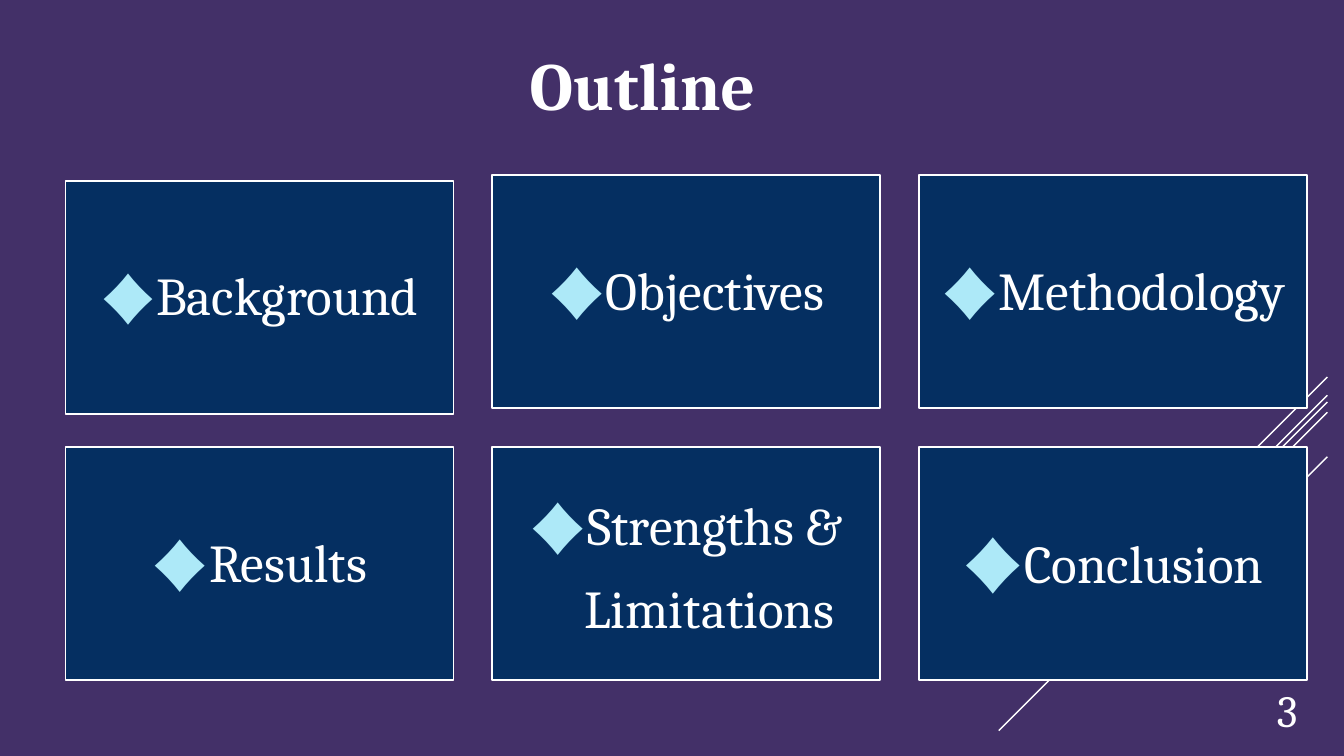
from dataclasses import dataclass

from pptx import Presentation
from pptx.dml.color import RGBColor
from pptx.enum import shapes, text
from pptx.oxml.ns import qn
from pptx.util import Cm, Pt


@dataclass(frozen=True)
class Theme:
    back: RGBColor = RGBColor(0x43, 0x30, 0x68)
    card: RGBColor = RGBColor(0x05, 0x2F, 0x61)
    mark: RGBColor = RGBColor(0xAD, 0xE9, 0xF8)
    ink: RGBColor = RGBColor(0xFF, 0xFF, 0xFF)
    face: str = "Cambria"
    title: int = 48
    label: int = 38
    number: int = 32


@dataclass(frozen=True)
class Box:
    """A region of the slide, in centimetres."""
    left: float
    top: float
    width: float
    height: float

    @property
    def cm(self):
        return [Cm(v) for v in (self.left, self.top, self.width, self.height)]


THEME = Theme()

# Label lines, diamond size, drop below the row's top
CARDS = [
    (["Background"], 40, 0.15),
    (["Objectives"], 41, 0),
    (["Methodology"], 41, 0),
    (["Results"], 41, 0),
    (["Strengths &", "Limitations"], 41, 0),
    (["Conclusion"], 44, 0),
]

# Drop below the region's top, and run to the left and down
RAYS = [(0, 2.54), (0.63, 8.28), (0.89, 5.28), (0.46, 4.85), (2.01, 3.53)]


def style(font, size, color=THEME.ink, bold=False):
    font.name = THEME.face
    font.size = Pt(size)
    font.bold = bold
    font.color.rgb = color


def add_rays(slide, box):
    """Draw 45-degree lines falling from the right edge of the box."""
    right = box.left + box.width
    for drop, run in RAYS:
        top = box.top + drop
        ray = slide.shapes.add_connector(
            shapes.MSO_CONNECTOR.STRAIGHT,
            Cm(right), Cm(top), Cm(right - run), Cm(top + run))
        ray.line.color.rgb = THEME.ink
        ray.line.width = Pt(1)
        props = ray._element.spPr
        props.append(props.makeelement(qn("a:effectLst"), {}))


def add_title(slide, box, words):
    title = slide.shapes.title
    title.left, title.top, title.width, title.height = box.cm
    frame = title.text_frame
    frame.text = words
    frame.vertical_anchor = text.MSO_ANCHOR.MIDDLE
    para = frame.paragraphs[0]
    para.alignment = text.PP_ALIGN.CENTER
    style(para.font, THEME.title, bold=True)


def add_card(slide, box, lines, size):
    card = slide.shapes.add_shape(shapes.MSO_SHAPE.RECTANGLE, *box.cm)
    card.shadow.inherit = False
    card.fill.solid()
    card.fill.fore_color.rgb = THEME.card
    card.line.color.rgb = THEME.ink
    card.line.width = Pt(1.25)

    frame = card.text_frame
    frame.word_wrap = True
    frame.vertical_anchor = text.MSO_ANCHOR.MIDDLE
    frame.margin_left = frame.margin_right = Cm(0.43)
    frame.margin_top = frame.margin_bottom = Cm(0.43)
    for i, line in enumerate(lines):
        para = frame.add_paragraph() if i else frame.paragraphs[0]
        para.alignment = text.PP_ALIGN.CENTER
        para.line_spacing = 0.9 if len(lines) == 1 else 1.0
        style(para.font, THEME.label)
        if i:
            para._p.get_or_add_pPr().set("marL", str(Cm(1.16)))
        else:
            mark = para.add_run()
            mark.text = "♦"
            style(mark.font, size, THEME.mark)
        if i < len(lines) - 1:
            para.space_after = Pt(13)
        para.add_run().text = line


def add_cards(slide, box, cols=3, rows=2, gap=0.98):
    """Fill the box with a grid of equal cards."""
    wide = (box.width - gap * (cols - 1)) / cols
    high = (box.height - gap * (rows - 1)) / rows
    for i, (lines, size, drop) in enumerate(CARDS):
        row, col = divmod(i, cols)
        cell = Box(box.left + col * (wide + gap),
                   box.top + row * (high + gap) + drop, wide, high)
        add_card(slide, cell, lines, size)


def add_number(slide, box, number):
    frame = slide.shapes.add_textbox(*box.cm).text_frame
    frame.word_wrap = True
    frame.vertical_anchor = text.MSO_ANCHOR.BOTTOM
    para = frame.paragraphs[0]
    para.text = str(number)
    para.alignment = text.PP_ALIGN.RIGHT
    style(para.font, THEME.number)


def build_outline(deck):
    slide = deck.slides.add_slide(deck.slide_layouts[5])
    slide.background.fill.solid()
    slide.background.fill.fore_color.rgb = THEME.back
    add_rays(slide, Box(25.17, 9.5, 8.28, 8.91))
    add_title(slide, Box(4.34, 0.58, 23.7, 3.05), "Outline")
    add_cards(slide, Box(1.65, 4.42, 31.29, 12.72))
    add_number(slide, Box(29.77, 16.84, 3.18, 1.85), 3)


def main():
    deck = Presentation()
    deck.slide_width, deck.slide_height = Cm(33.87), Cm(19.05)
    build_outline(deck)
    deck.save("out.pptx")


if __name__ == "__main__":
    main()
